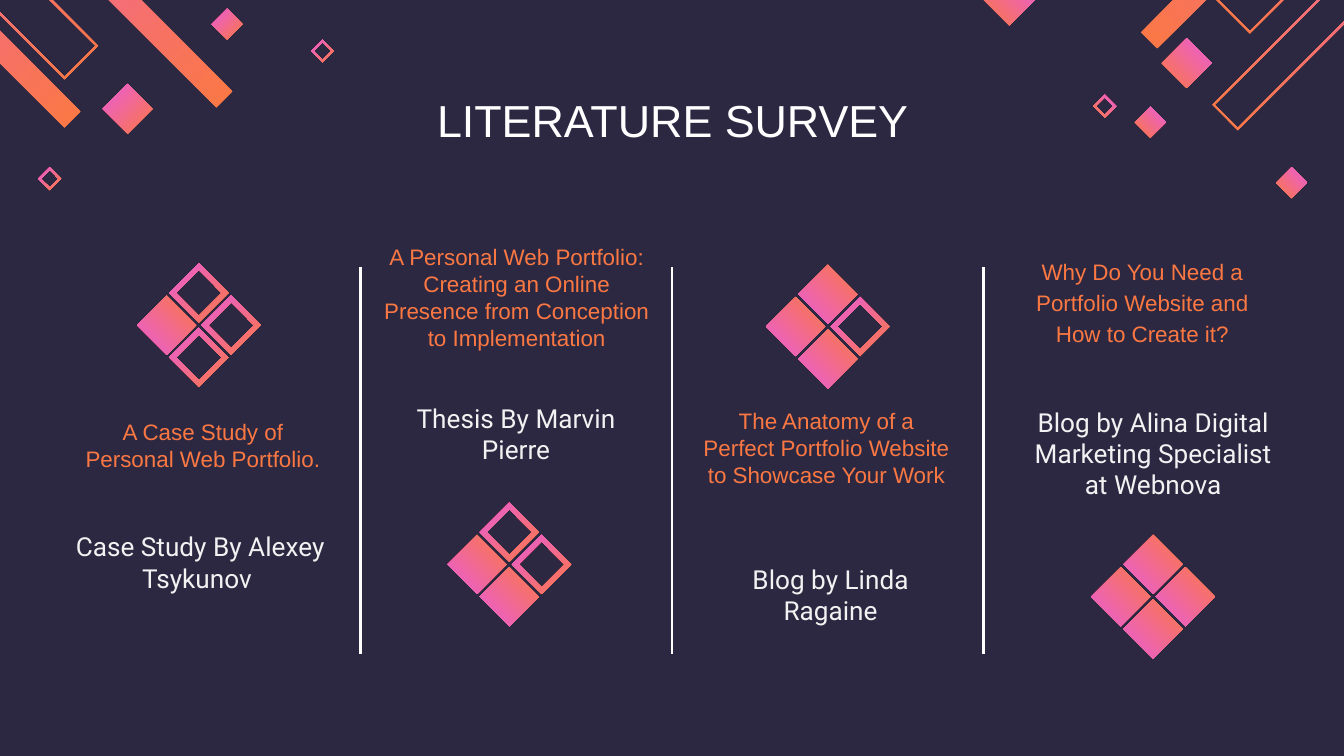
from dataclasses import dataclass

from lxml.etree import SubElement
from pptx import Presentation
from pptx.dml.color import RGBColor
from pptx.enum.shapes import MSO_CONNECTOR, MSO_SHAPE
from pptx.enum.text import MSO_ANCHOR, PP_ALIGN
from pptx.oxml.ns import qn
from pptx.util import Inches, Pt


@dataclass(frozen=True)
class Theme:
    background: RGBColor = RGBColor(0x2D, 0x28, 0x42)
    white: RGBColor = RGBColor(0xFF, 0xFF, 0xFF)
    pale: RGBColor = RGBColor(0xF2, 0xF2, 0xF2)
    orange: RGBColor = RGBColor(0xFB, 0x78, 0x43)
    pink: RGBColor = RGBColor(0xE8, 0x5C, 0xDB)
    title_size: Pt = Pt(24)
    author_size: Pt = Pt(14)
    heading_size: Pt = Pt(12)
    divider_width: Pt = Pt(1.5)


TOWARD_LOWER_LEFT, TOWARD_UPPER_LEFT, TOWARD_UPPER_RIGHT = 225, 135, 45
CELL = 0.44
CELL_STEP = 0.24
CELL_BORDER = 0.05


class SurveySlide:
    def __init__(self, slide, theme):
        self.slide = slide
        self.theme = theme
        self.text_styles = {
            "title": ({"name": "Arial", "size": theme.title_size}, theme.white),
            "heading": ({"name": "Arial", "size": theme.heading_size}, theme.orange),
            "author": ({"name": "Roboto", "size": theme.author_size}, theme.pale),
        }
        slide.background.fill.solid()
        slide.background.fill.fore_color.rgb = theme.background

    def paint(self, shape, angle):
        shape.shadow.inherit = False
        shape.line.fill.background()
        shape.fill.gradient()
        shape.fill.gradient_angle = angle
        colors = (self.theme.orange, self.theme.pink)
        for position, (stop, color) in enumerate(zip(shape.fill.gradient_stops, colors)):
            stop.color.rgb = color
            stop.position = position

    def divider(self, x, top, bottom):
        line = self.slide.shapes.add_connector(
            MSO_CONNECTOR.STRAIGHT, Inches(x), Inches(top), Inches(x), Inches(bottom))
        line.line.color.rgb = self.theme.white
        line.line.width = self.theme.divider_width
        SubElement(line._element.spPr, qn("a:effectLst"))

    def diamond(self, center_x, center_y, size, angle):
        shape = self.slide.shapes.add_shape(
            MSO_SHAPE.DIAMOND, Inches(center_x - size / 2), Inches(center_y - size / 2),
            Inches(size), Inches(size))
        self.paint(shape, angle)

    def band(self, x, y, left_run, right_run, angle, border=0):
        def corners(inset):
            left, right, bottom = left_run - inset, right_run - inset, y - inset
            points = [(x, bottom), (x + right, bottom - right),
                      (x + right - left, bottom - right - left), (x - left, bottom - left)]
            return [(Inches(point_x), Inches(point_y)) for point_x, point_y in points]

        outer = corners(0)
        builder = self.slide.shapes.build_freeform(*outer[0])
        builder.add_line_segments(outer[1:], close=True)
        if border:
            inner = corners(border)
            builder.move_to(*inner[0])
            builder.add_line_segments(inner[:0:-1], close=True)
        self.paint(builder.convert_to_shape(), angle)

    def frame(self, center_x, center_y, size, border, angle):
        self.band(center_x, center_y + size / 2, size / 2, size / 2, angle, border)

    def icon(self, center_x, center_y, hollow):
        offsets = {"left": (-1, 0), "top": (0, -1), "right": (1, 0), "bottom": (0, 1)}
        for side, (column, row) in offsets.items():
            x, y = center_x + column * CELL_STEP, center_y + row * CELL_STEP
            if side in hollow:
                self.frame(x, y, CELL, CELL_BORDER, TOWARD_UPPER_LEFT)
            else:
                self.diamond(x, y, CELL, TOWARD_LOWER_LEFT)

    def text(self, content, style, left, top, width, height, **spacing):
        box = self.slide.shapes.add_textbox(
            Inches(left), Inches(top), Inches(width), Inches(height))
        margins = {f"margin_{side}": Inches(0.1) for side in ("left", "top", "right", "bottom")}
        frame_format = {"word_wrap": True, "vertical_anchor": MSO_ANCHOR.TOP, **margins}
        for name, value in frame_format.items():
            setattr(box.text_frame, name, value)
        paragraph = box.text_frame.paragraphs[0]
        for name, value in {"alignment": PP_ALIGN.CENTER, **spacing}.items():
            setattr(paragraph, name, value)
        run = paragraph.add_run()
        run.text = content
        font_format, color = self.text_styles[style]
        for name, value in font_format.items():
            setattr(run.font, name, value)
        run.font.color.rgb = color


def main():
    presentation = Presentation()
    presentation.slide_width = Inches(10)
    presentation.slide_height = Inches(10) * 9 // 16
    survey = SurveySlide(presentation.slides.add_slide(presentation.slide_layouts[6]), Theme())

    for column in (-1, 0, 1):
        survey.divider(5 + column * 2.32, 1.99, 4.87)

    left_corner = {
        "bands": [(0.48, 0.59, 1.96, 0.25, 0.02), (0.48, 0.95, 2.34, 0.12, 0),
                  (1.61, 0.8, 2.34, 0.12, 0)],
        "diamonds": [(1.69, 0.18, 0.23), (0.95, 0.81, 0.37)],
        "frames": [(2.4, 0.38), (0.37, 1.33)],
    }
    right_corner = {
        "bands": [(9.3, 0.25, 0.25, 1.95, 0.02), (8.61, 0.36, 0.12, 2.35, 0),
                  (9.21, 0.97, 0.19, 2.22, 0.02)],
        "diamonds": [(9.61, 1.36, 0.23), (8.83, 0.47, 0.37), (8.56, 0.91, 0.23),
                     (7.51, 0, 0.38)],
        "frames": [(8.22, 0.79)],
    }
    for corner, angle in ((left_corner, TOWARD_UPPER_LEFT), (right_corner, TOWARD_UPPER_RIGHT)):
        for x, y, left_run, right_run, border in corner["bands"]:
            survey.band(x, y, left_run, right_run, angle, border)
        for x, y, size in corner["diamonds"]:
            survey.diamond(x, y, size, angle)
        for x, y in corner["frames"]:
            survey.frame(x, y, 0.17, 0.02, angle)

    survey.text("LITERATURE SURVEY", "title", 0.66, 0.59, 8.69, 0.71)

    headings = [
        ("A Case Study of Personal Web Portfolio.", 0.47, 3.01, 2.08, {"space_after": Pt(16)}),
        ("A Personal Web Portfolio: Creating an Online Presence from Conception "
         "to Implementation", 2.74, 1.71, 2.21, {}),
        ("The Anatomy of a Perfect Portfolio Website to Showcase Your Work",
         5.12, 2.93, 2.06, {}),
        ("Why Do You Need a Portfolio Website and How to Create it?", 7.46, 1.79, 2.08,
         {"line_spacing": 1.15, "space_after": Pt(16)}),
    ]
    for content, left, top, width, spacing in headings:
        survey.text(content, "heading", left, top, width, 0.44, **spacing)

    authors = [
        ("Case Study By Alexey Tsykunov ", 0.45, 3.85),
        ("Thesis By Marvin Pierre", 2.8, 2.89),
        ("Blog by Linda Ragaine", 5.14, 4.09),
        ("Blog by Alina Digital Marketing Specialist at Webnova", 7.54, 2.92),
    ]
    for content, left, top in authors:
        survey.text(content, "author", left, top, 2.08, 0.99)

    icons = [
        (1.48, 2.42, {"top", "right", "bottom"}),
        (3.79, 4.2, {"top", "right"}),
        (6.16, 2.43, {"right"}),
        (8.58, 4.44, set()),
    ]
    for center_x, center_y, hollow in icons:
        survey.icon(center_x, center_y, hollow)

    presentation.save("out.pptx")


if __name__ == "__main__":
    main()
